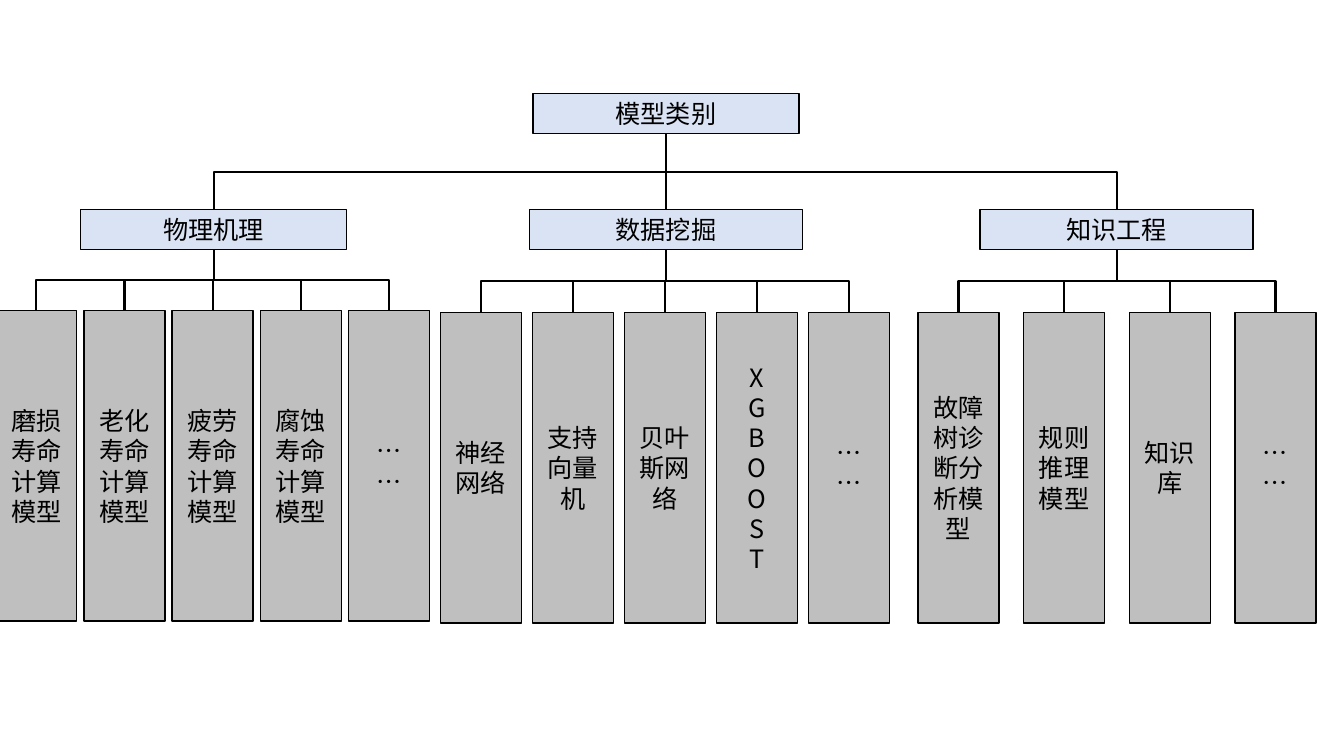
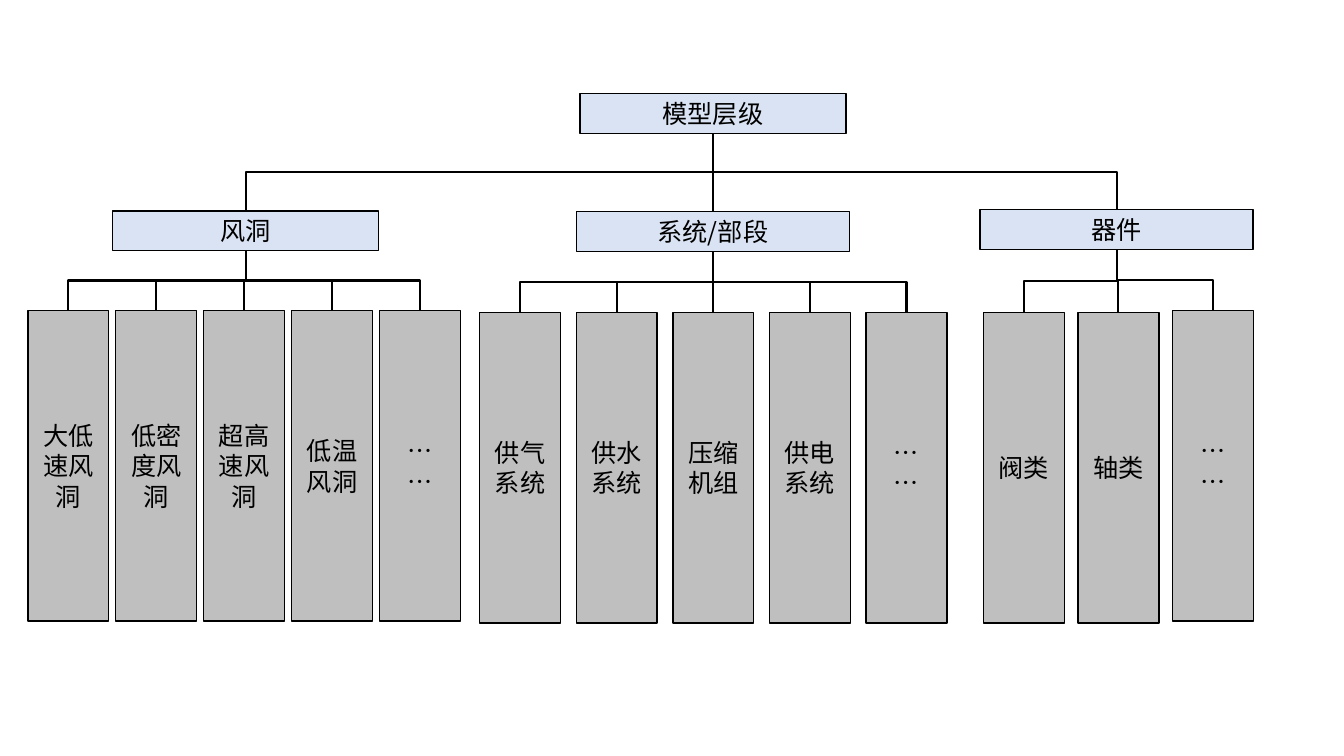
"""Build two slides of model trees: by category and by level."""
from dataclasses import dataclass

from lxml.etree import SubElement
from pptx import Presentation
from pptx.dml.color import RGBColor
from pptx.enum.shapes import MSO_CONNECTOR, MSO_SHAPE
from pptx.enum.text import MSO_ANCHOR, PP_ALIGN
from pptx.oxml.ns import qn
from pptx.util import Pt


@dataclass(frozen=True)
class Theme:
    """Colours, type and box sizes that the slides share."""
    ink: RGBColor = RGBColor(0, 0, 0)
    head: RGBColor = RGBColor(0xDA, 0xE3, 0xF3)
    leaf: RGBColor = RGBColor(0xBF, 0xBF, 0xBF)
    font: str = "Noto Sans CJK SC"
    size: float = 18
    edge: float = 1
    wire: float = 1.5
    root_top: float = 67
    root_wide: float = 190
    head_high: float = 28.3
    leaf_wide: float = 57.8
    leaf_high: float = 221.8


@dataclass(frozen=True)
class Branch:
    """A heading and its row of evenly spaced leaves."""
    label: str
    mid: float
    wide: float
    top: float
    first: float
    pitch: float
    row: float
    leaves: tuple
    lift: float = 0


THEME = Theme()
DOTS = "…\n…"
TREES = (
    ("模型类别", 475.6, (
        Branch("物理机理", 152.6, 190, 149.8, 25.9, 63, 221.8,
               ("磨损寿命计算模型", "老化寿命计算模型", "疲劳寿命计算模型",
                "腐蚀寿命计算模型", DOTS)),
        Branch("数据挖掘", 475.6, 195, 149.8, 343.5, 65.7, 223.2,
               ("神经网络", "支持向量机", "贝叶斯网络",
                "X\nG\nB\nO\nO\nS\nT", DOTS)),
        Branch("知识工程", 797.6, 195, 149.8, 684.6, 75.5, 223.2,
               ("故障树诊断分析模型", "规则推理模型", "知识库", DOTS)),
    )),
    ("模型层级", 509.2, (
        Branch("风洞", 175.5, 190, 150.7, 48.8, 62.8, 221.8,
               ("大低速风洞", "低密度风洞", "超高速风洞", "低温风洞", DOTS)),
        Branch("系统/部段", 509.2, 195, 151.2, 371.5, 69, 223.2,
               ("供气系统", "供水系统", "压缩机组", "供电系统", DOTS)),
        Branch("器件", 797.6, 195, 149.8, 731.4, 67.5, 223.2,
               ("阀类", "轴类", DOTS), lift=1.4),
    )),
)


def add_text(frame, text):
    """Write each line of the text as a centred paragraph."""
    frame.word_wrap = True
    frame.vertical_anchor = MSO_ANCHOR.MIDDLE
    for i, line in enumerate(text.split("\n")):
        para = frame.add_paragraph() if i else frame.paragraphs[0]
        para.alignment = PP_ALIGN.CENTER
        run = para.add_run()
        run.text = line
        run.font.name = THEME.font
        run.font.size = Pt(THEME.size)
        run.font.color.rgb = THEME.ink
        SubElement(run.font._element, qn("a:ea"), typeface=THEME.font)


def add_box(slide, text, mid, top, wide, high, fill):
    """Add a bordered box centred on mid."""
    box = slide.shapes.add_shape(
        MSO_SHAPE.RECTANGLE, Pt(mid - wide / 2), Pt(top), Pt(wide), Pt(high))
    box.shadow.inherit = False
    box.fill.solid()
    box.fill.fore_color.rgb = fill
    box.line.color.rgb = THEME.ink
    box.line.width = Pt(THEME.edge)
    add_text(box.text_frame, text)
    return box


def add_head(slide, text, mid, top, wide):
    """Add a heading box."""
    return add_box(slide, text, mid, top, wide, THEME.head_high, THEME.head)


def add_wire(slide, upper, lower):
    """Join two boxes with an elbow that leaves and arrives vertically."""
    wire = slide.shapes.add_connector(MSO_CONNECTOR.ELBOW, 0, 0, 0, 0)
    wire.begin_connect(upper, 2)
    wire.end_connect(lower, 0)
    x1, y1, x2, y2 = wire.begin_x, wire.begin_y, wire.end_x, wire.end_y
    right = x2 > x1
    mid_x, mid_y = (x1 + x2) // 2, (y1 + y2) // 2
    half_x, half_y = abs(x2 - x1) // 2, (y2 - y1) // 2
    side = half_y if right else -half_y
    wire.begin_x, wire.end_x = mid_x + side, mid_x - side
    wire.begin_y, wire.end_y = mid_y - half_x, mid_y + half_x
    wire.rotation = 270 if right else 90
    wire.line.color.rgb = THEME.ink
    wire.line.width = Pt(THEME.wire)
    SubElement(wire._element.spPr, qn("a:effectLst"))


def add_branch(slide, root, branch):
    """Add a heading below the root, with its leaves."""
    head = add_head(slide, branch.label, branch.mid, branch.top, branch.wide)
    add_wire(slide, root, head)
    last = len(branch.leaves) - 1
    for i, text in enumerate(branch.leaves):
        top = branch.row - (branch.lift if i == last else 0)
        leaf = add_box(slide, text, branch.first + i * branch.pitch, top,
                       THEME.leaf_wide, THEME.leaf_high, THEME.leaf)
        add_wire(slide, head, leaf)


def add_tree(deck, label, mid, branches):
    """Add a slide with one tree."""
    slide = deck.slides.add_slide(deck.slide_layouts.get_by_name("Blank"))
    root = add_head(slide, label, mid, THEME.root_top, THEME.root_wide)
    for branch in branches:
        add_branch(slide, root, branch)


def main():
    """Build and save the deck."""
    deck = Presentation()
    deck.slide_width, deck.slide_height = Pt(960), Pt(540)
    for tree in TREES:
        add_tree(deck, *tree)
    deck.save("out.pptx")


if __name__ == "__main__":
    main()
